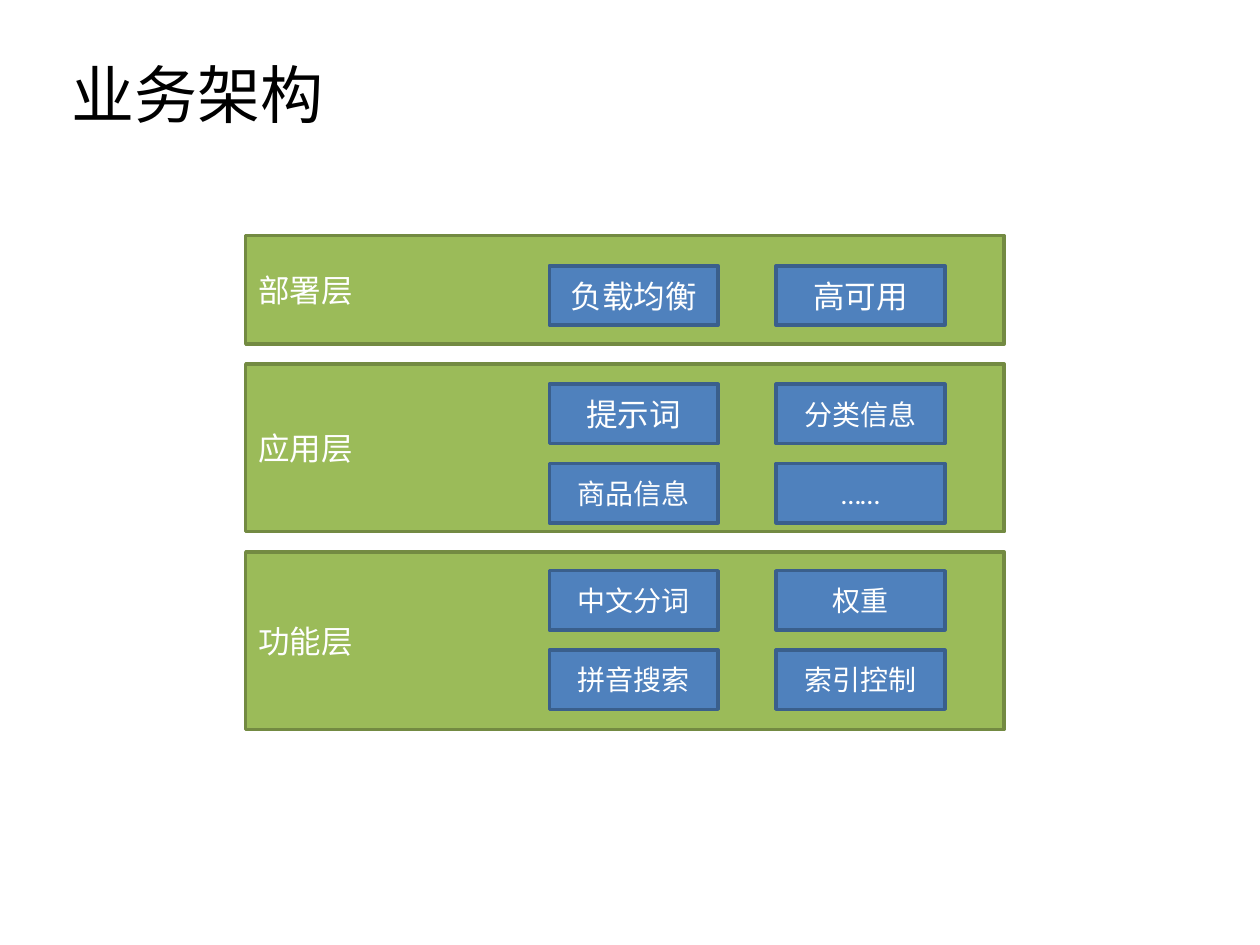
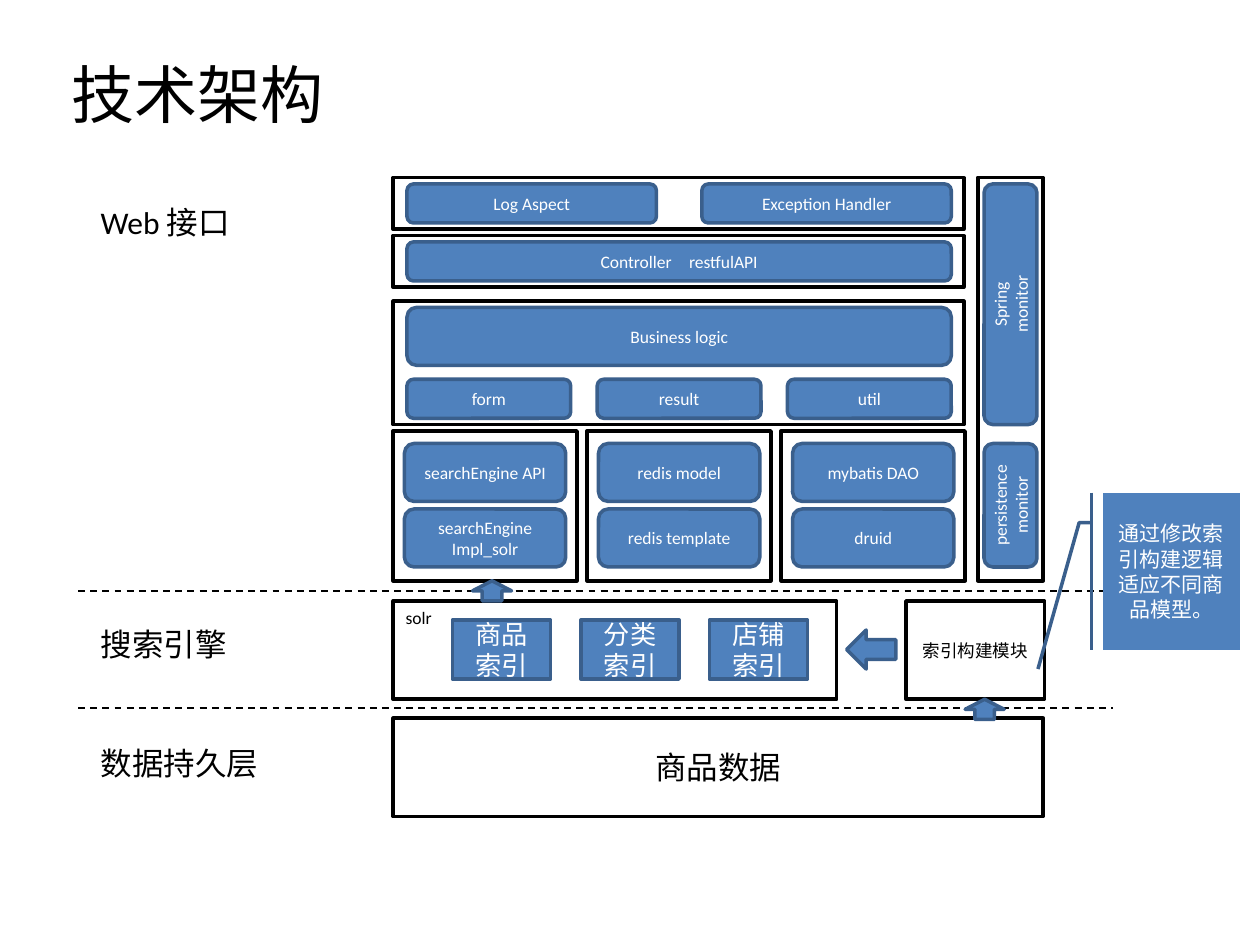
from lxml import etree
from pptx import Presentation
from pptx.dml.color import RGBColor
from pptx.enum.dml import MSO_LINE
from pptx.enum.shapes import MSO_CONNECTOR, MSO_SHAPE as Shape
from pptx.enum.text import MSO_ANCHOR as Anchor, PP_ALIGN as Align
from pptx.oxml.ns import qn
from pptx.util import Inches, Pt

COLORS = {
    "white": "FFFFFF", "black": "000000",
    "blue": "4F81BD", "blue_edge": "3A5F8C",
    "green": "9BBB59", "green_edge": "738A42",
}
STYLES = {
    "block": ("blue", "blue_edge", "white"),
    "layer": ("green", "green_edge", "white"),
    "frame": ("white", "black", "black"),
}
FONT = "Calibri"


def write(shape, text, size, color="black", align=Align.LEFT, anchor=Anchor.TOP):
    frame = shape.text_frame
    frame.word_wrap = True
    frame.vertical_anchor = anchor
    frame.text = text
    for paragraph in frame.paragraphs:
        paragraph.alignment = align
        paragraph.font.name = FONT
        paragraph.font.size = Pt(size)
        paragraph.font.color.rgb = RGBColor.from_string(COLORS[color])


def draw(slide, place, style, text="", size=10, kind=Shape.RECTANGLE,
         align=Align.CENTER, anchor=Anchor.MIDDLE):
    fill, edge, color = STYLES[style]
    shape = slide.shapes.add_shape(kind, *map(Inches, place))
    shape.shadow.inherit = False
    shape.fill.solid()
    shape.fill.fore_color.rgb = RGBColor.from_string(COLORS[fill])
    shape.line.color.rgb = RGBColor.from_string(COLORS[edge])
    shape.line.width = Pt(2)
    if text:
        write(shape, text, size, color, align, anchor)
    return shape


prs = Presentation()
prs.slide_width, prs.slide_height = Inches(10), Inches(7.5)
slides = []
for heading in ("业务架构", "技术架构"):
    slide = prs.slides.add_slide(prs.slide_layouts[6])
    title = slide.shapes.add_textbox(Inches(0.47), Inches(0.39), Inches(8.5), Inches(0.7))
    write(title, heading, 36, anchor=Anchor.MIDDLE)
    slides.append(slide)
business, technical = slides

layers = [
    ("功能层", 4.38, 1.41, 4.53, [("中文分词", 16), ("权重", 16), ("拼音搜索", 16), ("索引控制", 16)]),
    ("应用层", 2.89, 1.33, 3.05, [("提示词", 18), ("分类信息", 16), ("商品信息", 16), ("……", 16)]),
    ("部署层", 1.87, 0.86, 2.11, [("负载均衡", 18), ("高可用", 18)]),
]
for name, top, height, first_row, features in layers:
    draw(business, (1.95, top, 6.02, height), "layer", name, 18, align=Align.LEFT)
    for i, (feature, size) in enumerate(features):
        row, column = divmod(i, 2)
        draw(business, (4.36 + 1.8 * column, first_row + 0.63 * row, 1.34, 0.47),
             "block", feature, size)

for y in (5.62, 4.69):
    divider = technical.shapes.add_connector(
        MSO_CONNECTOR.STRAIGHT, Inches(0.62), Inches(y), Inches(8.83), Inches(y))
    divider.line.color.rgb = RGBColor.from_string(COLORS["black"])
    divider.line.width = Pt(1)
    divider.line.dash_style = MSO_LINE.DASH
    etree.SubElement(divider._element.spPr, qn("a:effectLst"))

for top, height in ((1.41, 0.41), (1.87, 0.41), (2.39, 0.98)):
    draw(technical, (3.12, top, 4.53, height), "frame")
draw(technical, (7.76, 1.41, 0.52, 3.2), "frame")

web_rows = [
    (1.46, 0.31, 1.98, 2.34, ["Log Aspect", "Exception Handler"]),
    (1.92, 0.31, 4.32, 0, ["Controller\u2003restfulAPI"]),
    (2.44, 0.46, 4.32, 0, ["Business logic"]),
    (3.01, 0.31, 1.3, 1.51, ["form", "result", "util"]),
]
for top, height, width, pitch, parts in web_rows:
    for i, part in enumerate(parts):
        draw(technical, (3.23 + pitch * i, top, width, height), "block", part,
             kind=Shape.ROUNDED_RECTANGLE)

access_columns = [
    ("searchEngine API", "searchEngine Impl_solr"),
    ("redis model", "redis template"),
    ("mybatis DAO", "druid"),
]
for column, parts in enumerate(access_columns):
    left = 3.12 + 1.54 * column
    draw(technical, (left, 3.42, 1.46, 1.19), "frame")
    for row, part in enumerate(parts):
        draw(technical, (left + 0.09, 3.52 + 0.52 * row, 1.28, 0.46), "block", part,
             kind=Shape.ROUNDED_RECTANGLE)

for top, height, text in ((1.46, 1.91, "Spring\nmonitor"), (3.52, 0.98, "persistence\nmonitor")):
    monitor = draw(technical, (7.81, top, 0.42, height), "block", text,
                   kind=Shape.ROUNDED_RECTANGLE)
    monitor.text_frame._txBody.bodyPr.set("vert", "vert270")

draw(technical, (3.12, 4.77, 3.52, 0.78), "frame", "solr", align=Align.LEFT, anchor=Anchor.TOP)
for i, index in enumerate(("商品索引", "分类索引", "店铺索引")):
    draw(technical, (3.59 + 1.02 * i, 4.92, 0.78, 0.47), "block", index, 15)
draw(technical, (7.19, 4.77, 1.1, 0.78), "frame", "索引构建模块")
draw(technical, (3.12, 5.7, 5.16, 0.78), "frame", "商品数据", 18)

for place, direction in (
    ((3.75, 4.61, 0.31, 0.16), Shape.UP_ARROW),
    ((6.72, 5, 0.39, 0.31), Shape.LEFT_ARROW),
    ((7.66, 5.55, 0.31, 0.16), Shape.UP_ARROW),
):
    draw(technical, place, "block", kind=direction)

for top, tier in ((1.56, "Web 接口"), (4.91, "搜索引擎"), (5.86, "数据持久层")):
    label = technical.shapes.add_textbox(Inches(0.7), Inches(top), Inches(1.95), Inches(0.4))
    write(label, tier, 18)

remark = draw(technical, (8.75, 3.91, 1.09, 1.25), "block",
              "通过修改索引构建逻辑适应不同商品模型。", 12,
              kind=Shape.LINE_CALLOUT_2_ACCENT_BAR)
for i, ratio in enumerate((0.19, -0.08, 0.19, -0.17, 1.12, -0.47)):
    remark.adjustments[i] = ratio

prs.save("out.pptx")
